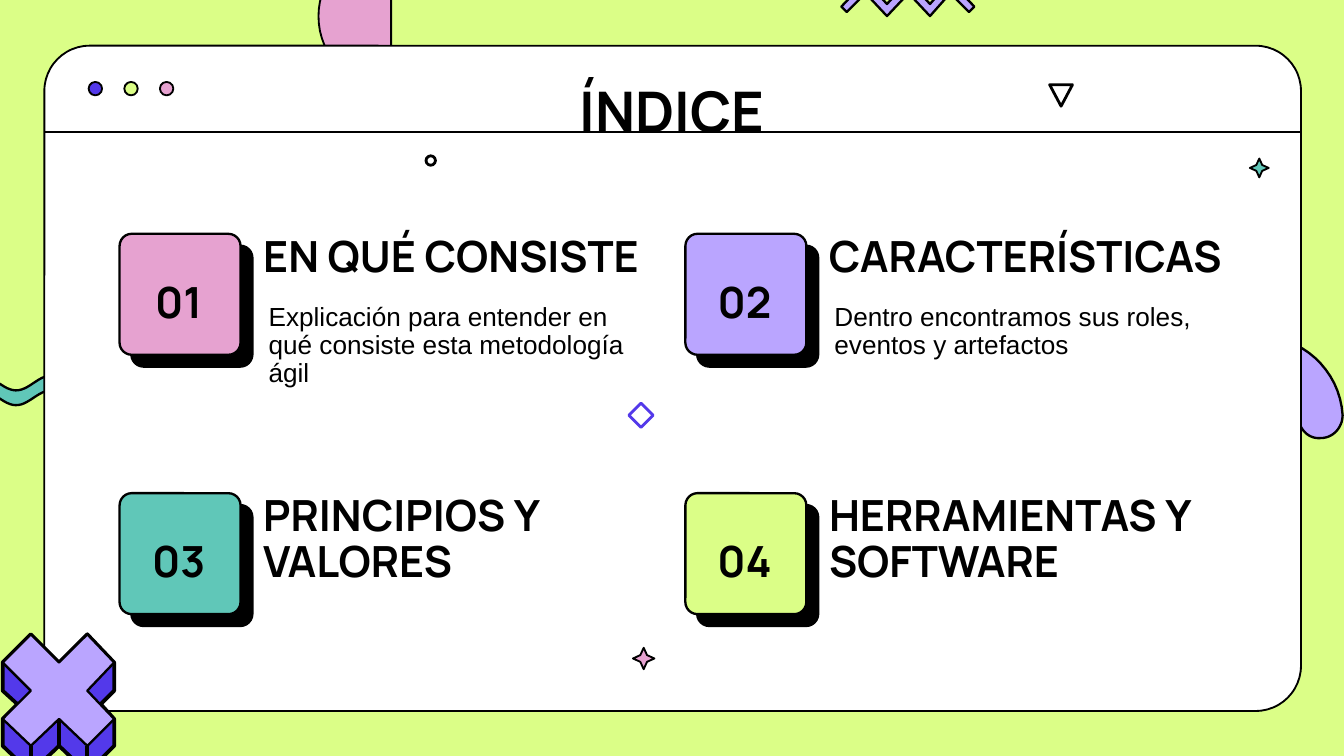
import math
from dataclasses import dataclass
from typing import NamedTuple

from lxml import etree
from pptx import Presentation
from pptx.dml.color import RGBColor
from pptx.enum.shapes import MSO_CONNECTOR, MSO_SHAPE
from pptx.enum.text import MSO_ANCHOR, MSO_AUTO_SIZE, PP_ALIGN
from pptx.oxml.ns import qn
from pptx.util import Inches, Pt

ROUNDED = MSO_SHAPE.ROUNDED_RECTANGLE
OVAL = MSO_SHAPE.OVAL
STAR = MSO_SHAPE.STAR_4_POINT
DIAMOND = MSO_SHAPE.DIAMOND
TRIANGLE = MSO_SHAPE.ISOSCELES_TRIANGLE
STRAIGHT = MSO_CONNECTOR.STRAIGHT
LEFT, CENTER = PP_ALIGN.LEFT, PP_ALIGN.CENTER
TOP, MIDDLE = MSO_ANCHOR.TOP, MSO_ANCHOR.MIDDLE
NO_FIT = MSO_AUTO_SIZE.NONE

COLORS = {
    "black": "000000",
    "white": "FFFFFF",
    "lime": "DBFE87",
    "teal": "60C7B8",
    "lilac": "BAA5FF",
    "pink": "E6A2D0",
    "indigo": "5339EA",
}
DISPLAY, BODY = "Manrope", "Arial"
PAGE_WIDTH = 10
PAGE_HEIGHT = PAGE_WIDTH * 9 / 16
COLUMN_STEP, ROW_STEP = 4.21, 1.93
Point = tuple[float, float]


class Area(NamedTuple):
    left: float
    top: float
    width: float
    height: float

    def shifted(self, right: float, down: float) -> "Area":
        return self._replace(left=self.left + right, top=self.top + down)

    def lengths(self) -> list:
        return [Inches(value) for value in self]


@dataclass
class Topic:
    number: str
    heading: str
    color: str
    detail: str = ""
    heading_width: float = 3.05


@dataclass
class Ornament:
    kind: int
    area: Area
    fill: str
    line: str = "black"
    weight: float = 1
    rotation: float = 0


TOPICS = [
    Topic("01", "EN QUÉ CONSISTE", "pink",
          "Explicación para entender en qué consiste esta metodología ágil"),
    Topic("02", "CARACTERÍSTICAS", "lilac",
          "Dentro encontramos sus roles, eventos y artefactos", 3.23),
    Topic("03", "PRINCIPIOS Y VALORES", "teal"),
    Topic("04", "HERRAMIENTAS Y SOFTWARE", "lime"),
]
ORNAMENTS = [
    Ornament(STAR, Area(4.71, 4.82, 0.16, 0.16), "pink"),
    Ornament(STAR, Area(9.3, 1.18, 0.14, 0.14), "teal"),
    Ornament(TRIANGLE, Area(7.81, 0.63, 0.17, 0.16), "white", weight=1.5, rotation=180),
    Ornament(DIAMOND, Area(4.68, 3, 0.18, 0.18), "white", "indigo", 1.5),
    Ornament(OVAL, Area(3.17, 1.16, 0.07, 0.07), "white", weight=1.5),
]


def rgb(name: str) -> RGBColor:
    return RGBColor.from_string(COLORS[name])


def paint(shape, fill: str, line: str = "black", weight: float = 1.25):
    shape.shadow.inherit = False
    shape.fill.solid()
    shape.fill.fore_color.rgb = rgb(fill)
    shape.line.color.rgb = rgb(line)
    shape.line.width = Pt(weight)
    return shape


def add_preset(page, kind: int, area: Area, fill: str, line: str = "black", weight: float = 1):
    return paint(page.shapes.add_shape(kind, *area.lengths()), fill, line, weight)


def add_outline(page, points: list[Point], fill: str, weight: float = 1.25):
    corners = [(Inches(x), Inches(y)) for x, y in points]
    builder = page.shapes.build_freeform(*corners[0], scale=1.0)
    builder.add_line_segments(corners[1:], close=True)
    return paint(builder.convert_to_shape(), fill, weight=weight)


def add_rule(page, start: Point, end: Point, weight: float):
    ends = [Inches(value) for value in (*start, *end)]
    rule = page.shapes.add_connector(STRAIGHT, *ends)
    rule.line.color.rgb = rgb("black")
    rule.line.width = Pt(weight)
    etree.SubElement(rule.element.spPr, qn("a:effectLst"))
    return rule


def curve(start: Point, *segments: tuple[Point, Point, Point], steps: int = 16) -> list[Point]:
    points = [start]
    for first, second, end in segments:
        origin = points[-1]
        for step in range(1, steps + 1):
            t = step / steps
            weights = ((1 - t) ** 3, 3 * t * (1 - t) ** 2, 3 * t * t * (1 - t), t ** 3)
            knots = (origin, first, second, end)
            points.append(tuple(sum(w * knot[axis] for w, knot in zip(weights, knots))
                                for axis in (0, 1)))
    return points


def write(box, text: str, size: float, font: str = DISPLAY, bold: bool = True,
          align: int = LEFT, anchor: int = TOP) -> None:
    frame = box.text_frame
    frame.word_wrap = True
    frame.auto_size = NO_FIT
    frame.vertical_anchor = anchor
    para = frame.paragraphs[0]
    para.text = text
    para.alignment = align
    para.line_spacing = 0.9
    para.font.name = font
    para.font.size = Pt(size)
    para.font.bold = bold
    para.font.color.rgb = rgb("black")


def add_text(page, area: Area, text: str, size: float, **style) -> None:
    write(page.shapes.add_textbox(*area.lengths()), text, size, **style)


def add_backdrop(page) -> None:
    xs = [-0.67 + 1.31 * step / 60 for step in range(61)]
    crest = [(x, 2.85 - 0.055 * math.cos(math.tau * (x - 0.38) / 0.52)) for x in xs]
    trough = [(x, y + 0.11) for x, y in reversed(crest)]
    add_outline(page, crest + trough, "teal")
    add_outline(page, curve(
        (9.08, 2.57),
        ((9.16, 2.53), (9.25, 2.51), (9.34, 2.5)),
        ((9.68, 2.49), (9.97, 2.75), (9.99, 3.09)),
        ((9.99, 3.18), (9.92, 3.26), (9.83, 3.26)),
        ((9.74, 3.27), (9.67, 3.2), (9.66, 3.11)),
        ((9.66, 2.95), (9.52, 2.82), (9.36, 2.83)),
        ((9.28, 2.83), (9.21, 2.86), (9.16, 2.92)),
        ((9.1, 2.98), (9.07, 3.06), (9.08, 3.13)),
        ((9.08, 3.22), (9.01, 3.3), (8.92, 3.3)),
        ((8.83, 3.31), (8.76, 3.24), (8.75, 3.15)),
        ((8.74, 2.9), (8.88, 2.68), (9.08, 2.57))), "lilac")
    add_outline(page, curve(
        (2.91, -0.41),
        ((2.61, -0.41), (2.37, -0.17), (2.37, 0.12)),
        ((2.37, 0.42), (2.61, 0.66), (2.91, 0.66))), "pink", 1)


def add_window(page) -> None:
    window = add_preset(page, ROUNDED, Area(0.33, 0.34, 9.35, 4.95), "white")
    window.adjustments[0] = 0.068
    rule = add_rule(page, (0.33, 0.98), (9.67, 0.98), 1)
    title = page.shapes.title
    title.left, title.top, title.width, title.height = Area(0.79, 0.65, 8.42, 0.4).lengths()
    write(title, "ÍNDICE", 30, align=CENTER, anchor=MIDDLE)
    rule.element.addnext(title.element)
    for index, color in enumerate(("indigo", "lime", "pink")):
        add_preset(page, OVAL, Area(0.66, 0.61, 0.1, 0.1).shifted(0.265 * index, 0), color)


def add_topic(page, topic: Topic, right: float, down: float) -> None:
    tile = add_preset(page, ROUNDED, Area(0.89, 1.74, 0.9, 0.9).shifted(right, down),
                      topic.color, weight=1.25)
    tile.adjustments[0] = 0.1
    effects = tile.element.spPr.find(qn("a:effectLst"))
    shadow = etree.SubElement(effects, qn("a:outerShdw"), dist=str(Pt(9)), dir="2700000",
                              algn="bl", rotWithShape="0")
    etree.SubElement(shadow, qn("a:srgbClr"), val=COLORS["black"])
    add_text(page, Area(1.86, 1.7, topic.heading_width, 0.64).shifted(right, down),
             topic.heading, 23)
    add_text(page, Area(0.8, 1.98, 1.06, 0.57).shifted(right, down), topic.number, 23,
             align=CENTER, anchor=MIDDLE)
    if topic.detail:
        add_text(page, Area(1.9, 2.21, 3.05, 0.43).shifted(right, down), topic.detail, 14,
                 font=BODY, bold=False)


def add_ornaments(page) -> None:
    for item in ORNAMENTS:
        shape = add_preset(page, item.kind, item.area, item.fill, item.line, item.weight)
        shape.rotation = item.rotation
        if item.kind == STAR:
            shape.adjustments[0] = 0.22
    peaks = [(6.44, -0.14), (6.6, 0.03), (6.76, -0.14), (6.92, 0.03), (7.07, -0.14)]
    folds = [(x, y + 0.09) for x, y in reversed(peaks)]
    add_outline(page, [(6.26, 0.05), *peaks, (7.25, 0.05), (7.21, 0.09), *folds, (6.3, 0.09)],
                "lilac")


def add_cross(page) -> None:
    upper = [(0.02, 4.93), (0.23, 4.72), (0.44, 4.93), (0.65, 4.72), (0.85, 4.93)]
    lower = [(0.85, 5.35), (0.65, 5.55), (0.44, 5.35), (0.23, 5.55), (0.02, 5.35)]
    depth = 0.2
    sides = [(0.85, 5.14), (0.75, 5.24)], [(0.13, 5.24), (0.02, 5.14)]
    base = [(x, y + depth) for x, y in lower]
    add_outline(page, upper + sides[0] + lower[:1] + base + lower[-1:] + sides[1], "indigo", 2)
    add_outline(page, upper + [(0.65, 5.14)] + lower + [(0.23, 5.14)], "lilac")
    for x, y in lower[1:-1]:
        add_rule(page, (x, y), (x, y + depth), 2)


def main() -> None:
    deck = Presentation()
    deck.slide_width, deck.slide_height = Inches(PAGE_WIDTH), Inches(PAGE_HEIGHT)
    page = deck.slides.add_slide(deck.slide_layouts[5])
    page.background.fill.solid()
    page.background.fill.fore_color.rgb = rgb("lime")
    add_backdrop(page)
    add_window(page)
    for index, topic in enumerate(TOPICS):
        row, column = divmod(index, 2)
        add_topic(page, topic, column * COLUMN_STEP, row * ROW_STEP)
    add_ornaments(page)
    add_cross(page)
    deck.save("out.pptx")


if __name__ == "__main__":
    main()
